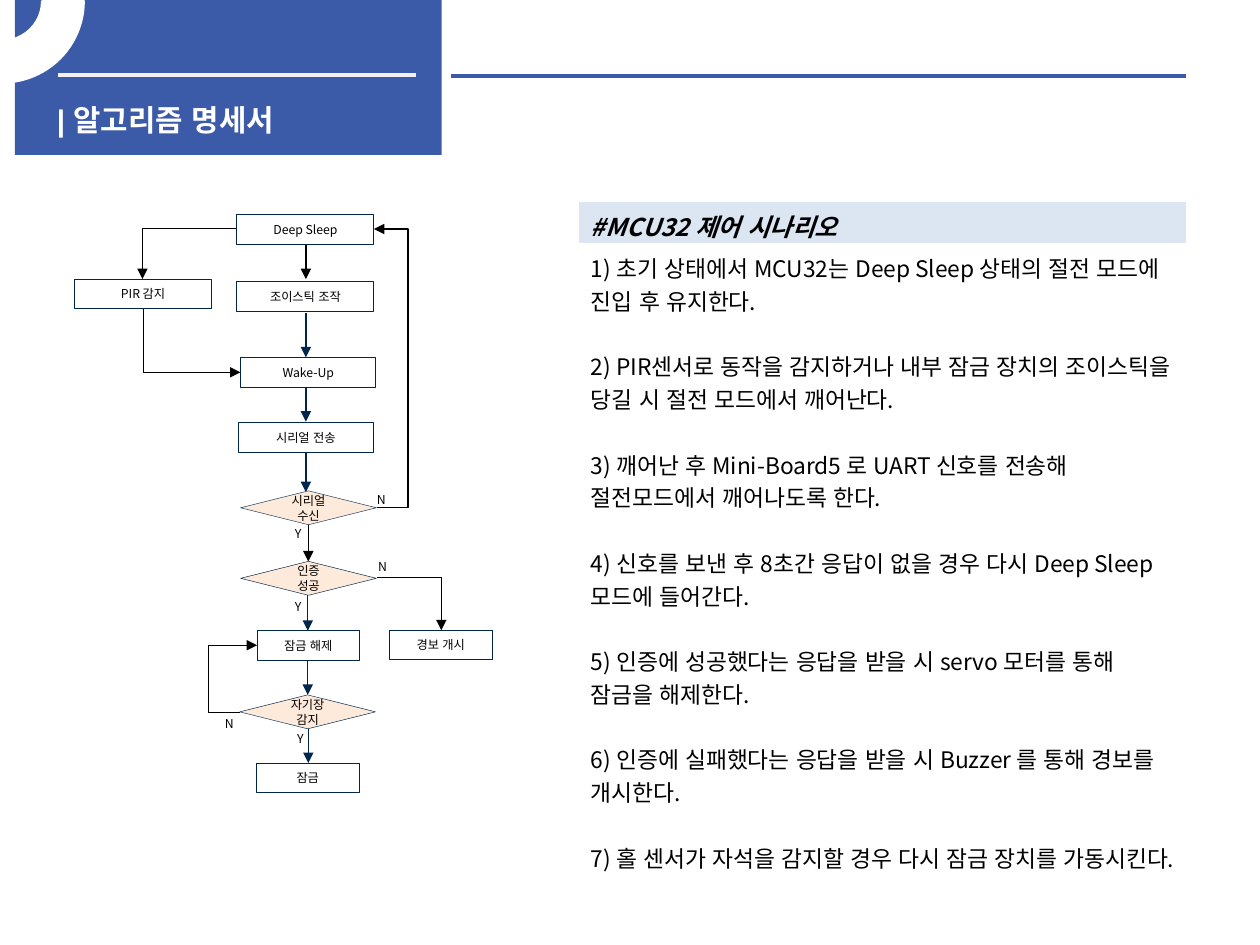
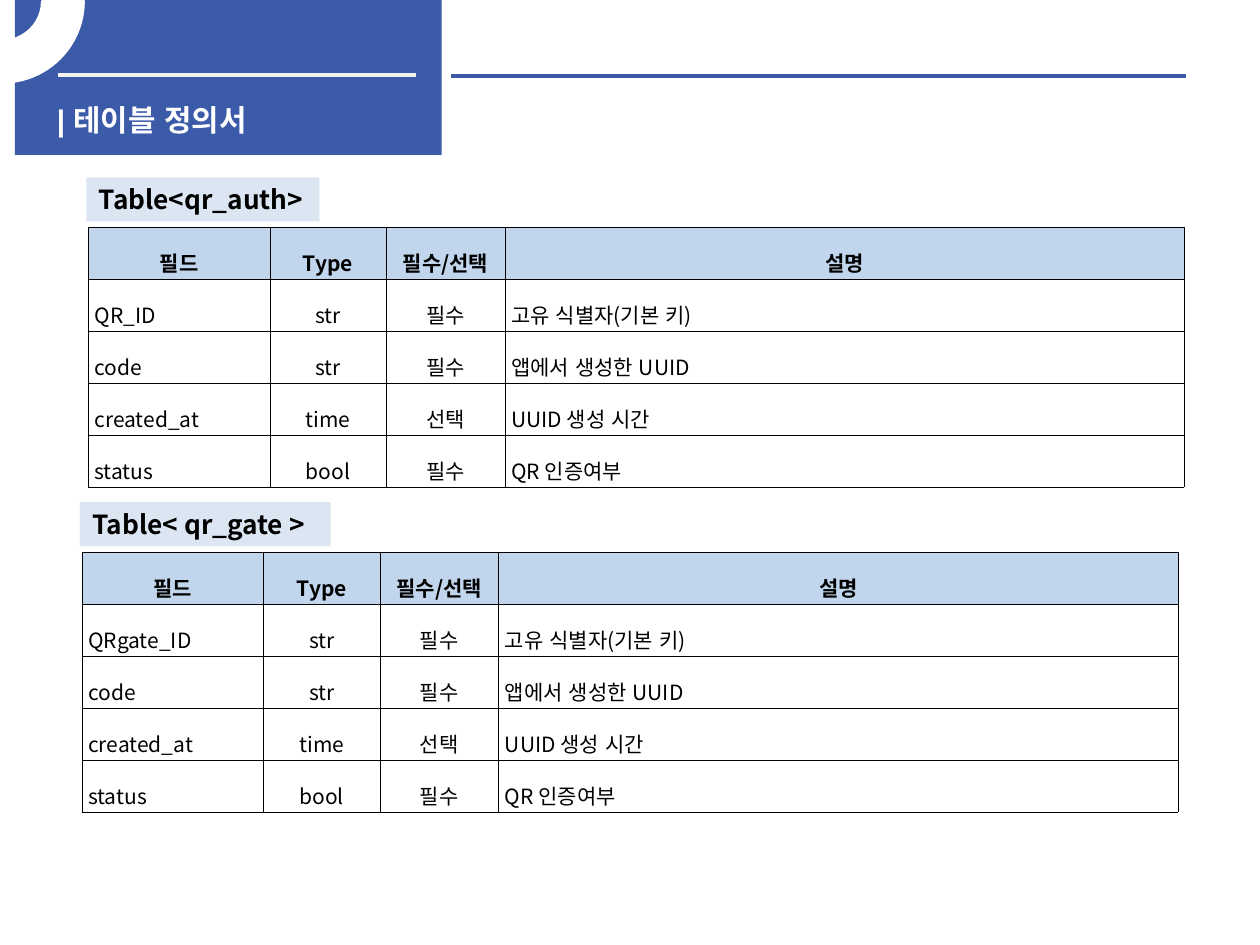
from dataclasses import dataclass
from lxml.etree import SubElement as Sub
from pptx import Presentation
from pptx.dml.color import RGBColor as Rgb
from pptx.enum.shapes import MSO_CONNECTOR as Con, MSO_SHAPE as Geo
from pptx.enum.text import MSO_ANCHOR as Anchor, PP_ALIGN as Align
from pptx.oxml.ns import qn
from pptx.util import Pt


@dataclass(frozen=True)
class Theme:
    blue: str = "3B5AA8"
    navy: str = "00264C"
    pale: str = "DCE6F2"
    head: str = "C1D6ED"
    peach: str = "FDEADA"
    mist: str = "F2F2F2"
    white: str = "FFFFFF"
    black: str = "000000"
    font: str = "Noto Sans CJK KR"
    bold: str = "Arial"
    title: int = 17
    tag: int = 15
    lead: int = 14
    body: int = 13
    grid: int = 12
    node: int = 7


T = Theme()

STEPS = [
    "1) 초기 상태에서 MCU32는 Deep Sleep 상태의 절전 모드에 진입 후 유지한다.",
    "2) PIR센서로 동작을 감지하거나 내부 잠금 장치의 조이스틱을 당길 시 절전 모드에서 깨어난다.",
    "3) 깨어난 후 Mini-Board5 로 UART 신호를 전송해 절전모드에서 깨어나도록 한다.",
    "4) 신호를 보낸 후 8초간 응답이 없을 경우 다시 Deep Sleep 모드에 들어간다.",
    "5) 인증에 성공했다는 응답을 받을 시 servo 모터를 통해 잠금을 해제한다.",
    "6) 인증에 실패했다는 응답을 받을 시 Buzzer 를 통해 경보를 개시한다.",
    "7) 홀 센서가 자석을 감지할 경우 다시 잠금 장치를 가동시킨다.",
]

# Flow chart parts, in points from the corner of the chart
BOXES = [  # text, left, top, width
    ("Deep Sleep", 92.9, 0, 78.3),
    ("PIR 감지", 0, 36.7, 78.5),
    ("조이스틱 조작", 92.9, 38.2, 78.3),
    ("Wake-Up", 95, 81.6, 77.3),
    ("시리얼 전송", 93.6, 118.8, 77.3),
    ("잠금 해제", 104.4, 237.6, 58.5),
    ("경보 개시", 180, 237.4, 58.8),
    ("잠금", 104, 313.2, 58.8),
]
TESTS = [("시리얼 수신", 95, 157.7), ("인증 성공", 95, 198), ("자기장 감지", 94.5, 274.3)]
MARKS = [
    ("N", 164.9, 154.8), ("N", 165.7, 193.4), ("N", 78, 283),
    ("Y", 118.1, 174.5), ("Y", 118.1, 216.3), ("Y", 119.5, 291.3),
]
DROPS = [  # x, top, bottom, colour
    (132.3, 16.6, 36.7, T.black),
    (132.3, 56.2, 81.4, T.navy),
    (132.3, 98.6, 118.1, T.navy),
    (132.3, 135.4, 158.4, T.navy),
    (133.7, 173.5, 198, T.black),
    (133.4, 217.4, 237.6, T.navy),
    (133.4, 254.9, 274.3, T.navy),
    (133.7, 293.8, 313.2, T.navy),
]
BENDS = [  # from, to, x of the middle leg (None: one corner), arrow end
    ((92.9, 7.9), (38.9, 36.7), None, "tailEnd"),
    ((95, 90), (39.6, 53.3), None, "headEnd"),
    ((172.8, 207.4), (209.7, 237.4), None, "tailEnd"),
    ((94.5, 284.2), (104.4, 246), 76.5, "tailEnd"),
    ((172.8, 167.2), (171.2, 8.1), 190.8, "tailEnd"),
]

COLS = [103.9, 66.4, 67.9, 388.2]
HEAD = ("필드", "Type", "필수/선택", "설명")
ROWS = [
    ("str", "필수", "고유 식별자(기본 키)"),
    ("code", "str", "필수", "앱에서 생성한 UUID"),
    ("created_at", "time", "선택", "UUID 생성 시간"),
    ("status", "bool", "필수", "QR 인증여부"),
]


def style(para, size, color=T.black, bold=False, face=T.font, align=Align.LEFT):
    para.alignment = align
    font = para.font
    font.size, font.bold, font.name = Pt(size), bold, face
    font.color.rgb = Rgb.from_string(color)
    # Korean face and language, no pair kerning
    base = para._p.pPr.find(qn("a:defRPr"))
    base.set("lang", "ko-KR")
    base.set("altLang", "en-US")
    base.set("kern", "0")
    Sub(base, qn("a:ea")).set("typeface", face)


def inset(part, side, top):
    part.margin_left = part.margin_right = Pt(side)
    part.margin_top = part.margin_bottom = Pt(top)


def shape(slide, geo, box, fill=None, line=None, width=0.5):
    item = slide.shapes.add_shape(geo, *map(Pt, box))
    item.shadow.inherit = False
    if fill:
        item.fill.solid()
        item.fill.fore_color.rgb = Rgb.from_string(fill)
    else:
        item.fill.background()
    if line:
        item.line.color.rgb = Rgb.from_string(line)
        item.line.width = Pt(width)
    else:
        item.line.fill.background()
    return item


def label(item, text, size, wrap=True, **look):
    frame = item.text_frame
    frame.word_wrap = wrap
    frame.text = text
    style(frame.paragraphs[0], size, **look)
    return frame


def link(slide, start, end, color, width, tip=None, kind=Con.STRAIGHT):
    line = slide.shapes.add_connector(kind, *map(Pt, (*start, *end)))
    line.line.color.rgb = Rgb.from_string(color)
    line.line.width = Pt(width)
    if tip:
        Sub(line.line._get_or_add_ln(), qn(f"a:{tip}")).set("type", "triangle")
    Sub(line._element.spPr, qn("a:effectLst"))
    return line


def bend(slide, start, end, mid, tip):
    line = link(slide, start, end, T.black, 0.75, tip, Con.ELBOW)
    geom = line._element.spPr.find(qn("a:prstGeom"))
    if mid is None:
        geom.set("prst", "bentConnector2")
        return
    ratio = (mid - start[0]) / (end[0] - start[0])
    guides = geom.find(qn("a:avLst"))
    if guides is None:
        guides = Sub(geom, qn("a:avLst"))
    guide = Sub(guides, qn("a:gd"))
    guide.set("name", "adj1")
    guide.set("fmla", f"val {round(ratio * 100000)}")


def banner(slide, title):
    # Blue block, rules and title
    shape(slide, Geo.RECTANGLE, (8.5, 0, 243.9, 88.6), T.blue)
    link(slide, (33.1, 42.8), (237.6, 42.8), T.mist, 2.25)
    link(slide, (257.8, 43.2), (677.5, 43.2), T.blue, 2.25)
    box = slide.shapes.add_textbox(*map(Pt, (25.4, 54.7, 232, 22)))
    label(box, title, T.title, color=T.white, bold=True, face=T.bold)
    # Corner ring
    ring = shape(slide, Geo.BLOCK_ARC, (-45.4, -45.4, 92.9, 92.2), T.white, T.white, 2)
    for spot, value in enumerate((96.95, 0, 0.25)):
        ring.adjustments[spot] = value
    ring._element.spPr.find(qn("a:xfrm")).set("flipV", "1")


def flow(slide, left, top):
    def at(x, y):
        return left + x, top + y

    # Arrows
    for x, y, low, color in DROPS:
        link(slide, at(x, y), at(x, low), color, 0.75, "tailEnd")
    for start, end, mid, tip in BENDS:
        bend(slide, at(*start), at(*end), None if mid is None else left + mid, tip)
    # Steps
    for text, x, y, wide in BOXES:
        node = shape(slide, Geo.RECTANGLE, (*at(x, y), wide, 16.8), None, T.navy)
        inset(label(node, text, T.node, align=Align.CENTER), 2.9, 2.9)
    # Decisions
    for text, x, y in TESTS:
        node = shape(slide, Geo.FLOWCHART_DECISION, (*at(x, y), 77.6, 19.4),
                     T.peach, T.navy, 0.25)
        label(node, text, T.node, align=Align.CENTER)
    # Branch letters
    for text, x, y in MARKS:
        wide = 20.9 if text == "N" else 19.4
        box = slide.shapes.add_textbox(*map(Pt, (*at(x, y), wide, 16.6)))
        label(box, text, T.node, wrap=False, align=Align.CENTER)


def table(slide, left, top, cols, rows):
    frame = slide.shapes.add_table(len(rows), len(cols), Pt(left), Pt(top),
                                   Pt(sum(cols)), Pt(sum(rows)))
    grid = frame.table
    grid.first_row = grid.horz_banding = False
    for col, wide in zip(grid.columns, cols):
        col.width = Pt(wide)
    for row, high in zip(grid.rows, rows):
        row.height = Pt(high)
    return grid


def paint(cell, color):
    cell.fill.solid()
    cell.fill.fore_color.rgb = Rgb.from_string(color)


def story(slide, left, top):
    grid = table(slide, left, top, [347.8], [22.6, 336])
    head, body = grid.cell(0, 0), grid.cell(1, 0)
    # Heading
    paint(head, T.pale)
    head.text = "#MCU32 제어 시나리오"
    para = head.text_frame.paragraphs[0]
    style(para, T.lead, bold=True)
    para.font.italic = True
    # Numbered steps
    paint(body, T.white)
    body.margin_top = Pt(4.4)
    body.text = "\n".join(STEPS)
    for spot, para in enumerate(body.text_frame.paragraphs):
        if spot:
            para.space_before = Pt(18.75)
        style(para, T.body)


def border(cell):
    props = cell._tc.get_or_add_tcPr()
    for side in "LRTB":
        line = Sub(props, qn(f"a:ln{side}"))
        line.set("w", str(Pt(0.28)))
        Sub(Sub(line, qn("a:solidFill")), qn("a:srgbClr")).set("val", T.black)


def schema(slide, left, top, name, wide, key):
    # Name tag
    tag = shape(slide, Geo.RECTANGLE, (left - 1.1, top - 28.7, wide, 25.2), T.pale)
    inset(label(tag, name, T.tag, wrap=False, bold=True), 7.2, 0)
    # Field list
    rows = [HEAD, (key, *ROWS[0]), *ROWS[1:]]
    grid = table(slide, left, top, COLS, [29.7] * len(rows))
    for y, row in enumerate(rows):
        for x, text in enumerate(row):
            cell = grid.cell(y, x)
            border(cell)
            if y:
                cell.fill.background()
            else:
                paint(cell, T.head)
            inset(cell, 3.6, 0.7)
            cell.vertical_anchor = Anchor.MIDDLE
            cell.text = text
            para = cell.text_frame.paragraphs[0]
            para.line_spacing = 1.6
            mid = y == 0 or x in (1, 2)
            style(para, T.grid, bold=y == 0,
                  align=Align.CENTER if mid else Align.JUSTIFY)


def main():
    deck = Presentation()
    deck.slide_width, deck.slide_height = Pt(720), Pt(540)
    blank = deck.slide_layouts[6]

    slide = deck.slides.add_slide(blank)
    banner(slide, "| 알고리즘 명세서")
    flow(slide, 42.5, 122.8)
    story(slide, 330.5, 115.2)

    slide = deck.slides.add_slide(blank)
    banner(slide, "| 테이블 정의서")
    schema(slide, 50.4, 130, "Table<qr_auth>", 133.2, "QR_ID")
    schema(slide, 46.8, 315.6, "Table< qr_gate >", 143.3, "QRgate_ID")

    deck.save("out.pptx")


if __name__ == "__main__":
    main()
